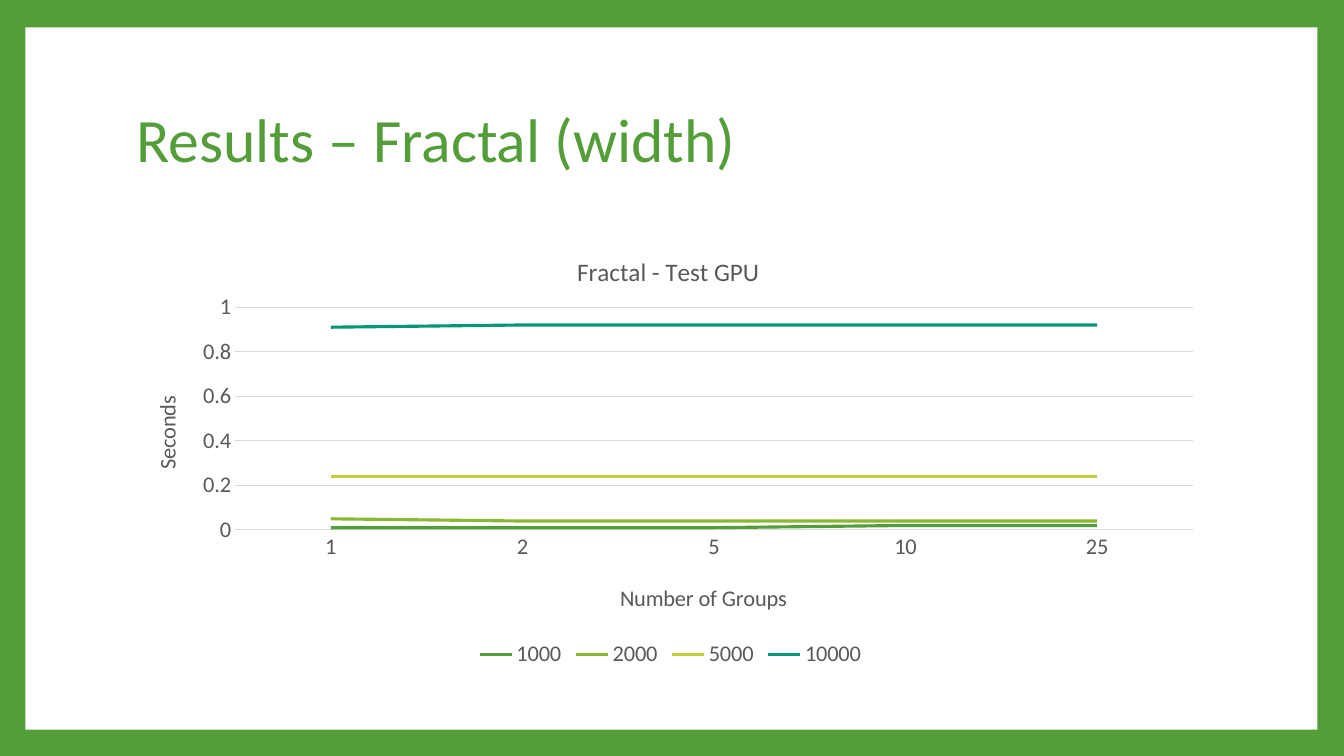
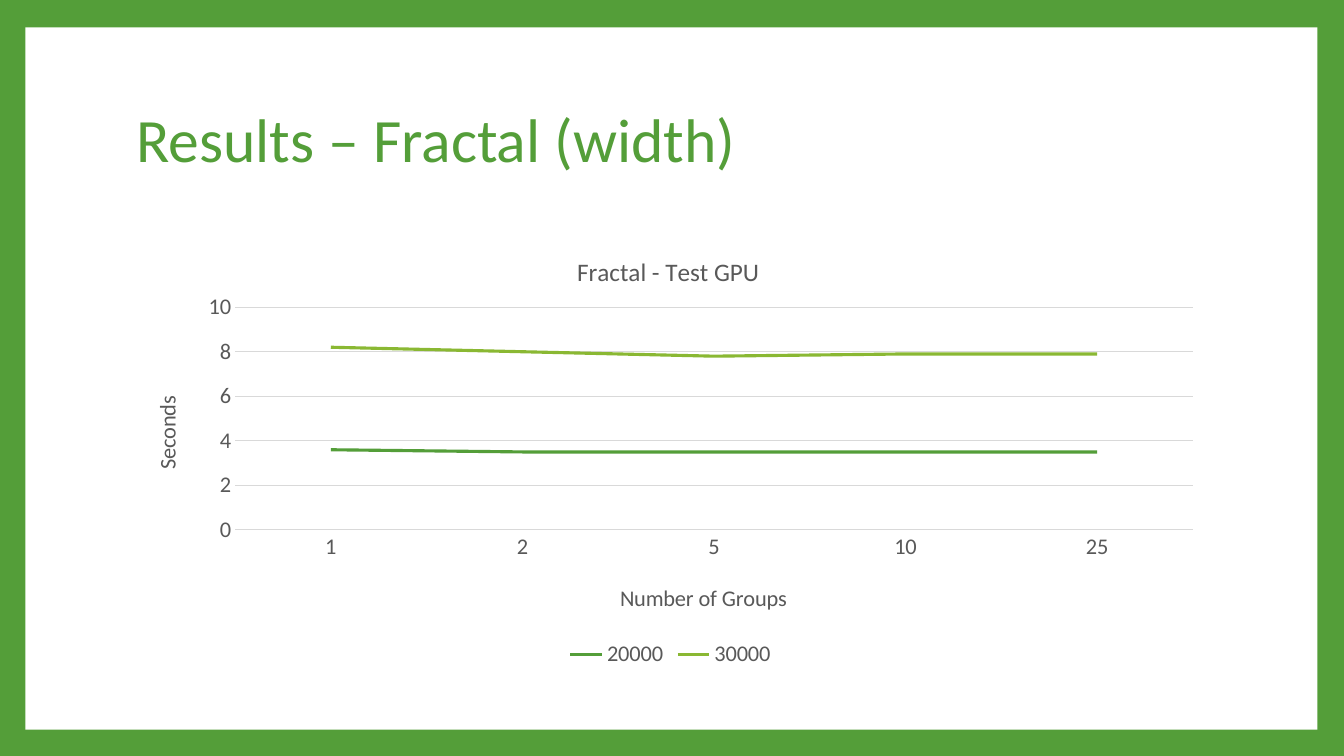
from lxml.etree import SubElement
from pptx import Presentation
from pptx.chart.data import CategoryChartData
from pptx.dml.color import RGBColor
from pptx.enum.chart import XL_CHART_TYPE, XL_LEGEND_POSITION, XL_TICK_MARK
from pptx.enum.shapes import MSO_SHAPE
from pptx.enum.text import MSO_ANCHOR, PP_ALIGN
from pptx.oxml.ns import qn
from pptx.util import Cm, Pt

COLORS = {
    "green": "549E39",
    "leaf": "8AB833",
    "lime": "C0CF3A",
    "teal": "029676",
    "panel": "FFFFFF",
    "text": "595959",
    "grid": "D9D9D9",
}
SERIES_COLORS = ("green", "leaf", "lime", "teal")
FONT = "Calibri"

SLIDE_SIZE = Cm(33.87), Cm(19.05)
PANEL_BOX = Cm(0.64), Cm(0.69), Cm(32.56), Cm(17.7)
TITLE_BOX = Cm(3.18), Cm(1.7), Cm(27.43), Cm(3.76)
CHART_BOX = Cm(3.18), Cm(5.72), Cm(27.43), Cm(11.23)

SLIDE_TITLE = "Results – Fractal (width)"
CHART_TITLE = "Fractal - Test GPU"
GROUPS = ("1", "2", "5", "10", "25")
RESULTS = (
    {
        "step": 0.2, "plot_left": 0.1,
        "times": {
            "1000": (0.01, 0.01, 0.01, 0.02, 0.02),
            "2000": (0.05, 0.04, 0.04, 0.04, 0.04),
            "5000": (0.24, 0.24, 0.24, 0.24, 0.24),
            "10000": (0.91, 0.92, 0.92, 0.92, 0.92),
        },
    },
    {
        "step": 2, "plot_left": 0.1,
        "times": {
            "20000": (3.6, 3.5, 3.5, 3.5, 3.5),
            "30000": (8.2, 8, 7.8, 7.9, 7.9),
        },
    },
)


def rgb(name):
    return RGBColor.from_string(COLORS[name])


def style_font(font, size, color="text"):
    font.name = FONT
    font.size = Pt(size)
    font.bold = False
    font.color.rgb = rgb(color)


def write(frame, text, size, color="text", align=None, spacing=None):
    para = frame.paragraphs[0]
    para.alignment = align
    para.line_spacing = spacing
    span = para.add_run()
    span.text = text
    style_font(span.font, size, color)


def style_line(line, color, width):
    line.color.rgb = rgb(color)
    line.width = Pt(width)


def set_layout(parent, index, inner=False, **fractions):
    """Place a chart part by fractions (x, y, w, h) of the chart box."""
    for old in parent.findall(qn("c:layout")):
        parent.remove(old)
    layout = SubElement(parent, qn("c:layout"))
    parent.insert(index, layout)
    manual = SubElement(layout, qn("c:manualLayout"))
    if inner:
        SubElement(manual, qn("c:layoutTarget"), val="inner")
    for key in ("x", "y"):
        SubElement(manual, qn(f"c:{key}Mode"), val="edge")
    for key, value in fractions.items():
        SubElement(manual, qn(f"c:{key}"), val=f"{value:.2f}")


def add_chart_title(owner, text, size, x, y):
    """Title a chart or an axis."""
    owner.has_title = True
    title = owner.chart_title if hasattr(owner, "chart_title") else owner.axis_title
    write(title.text_frame, text, size)
    set_layout(title.element, 1, x=x, y=y)


def add_title(page):
    title = page.shapes.title
    title.left, title.top, title.width, title.height = TITLE_BOX
    title.text_frame.vertical_anchor = MSO_ANCHOR.MIDDLE
    write(title.text_frame, SLIDE_TITLE, 44, "green", PP_ALIGN.LEFT, 0.9)


def style_axes(chart, step):
    for axis in (chart.category_axis, chart.value_axis):
        axis.major_tick_mark = axis.minor_tick_mark = XL_TICK_MARK.NONE
        style_font(axis.tick_labels.font, 16)
    style_line(chart.category_axis.format.line, "grid", 0.75)
    add_chart_title(chart.category_axis, "Number of Groups", 16, 0.45, 0.79)

    seconds = chart.value_axis
    seconds.minimum_scale, seconds.maximum_scale = 0, 5 * step
    seconds.major_unit = step
    seconds.format.line.fill.background()
    style_line(seconds.major_gridlines.format.line, "grid", 0.75)
    add_chart_title(seconds, "Seconds", 16, 0.02, 0.37)


def add_time_chart(page, box, times, step, plot_left):
    data = CategoryChartData()
    data.categories = GROUPS
    for width, seconds in times.items():
        data.add_series(width, seconds)
    chart = page.shapes.add_chart(XL_CHART_TYPE.LINE, *box, data).chart
    style_font(chart.font, 16)
    add_chart_title(chart, CHART_TITLE, 18, 0.41, 0.05)
    style_axes(chart, step)

    plot = chart.plots[0]
    plot.vary_by_categories = False
    for series, color in zip(plot.series, SERIES_COLORS):
        series.smooth = False
        style_line(series.format.line, color, 2.25)

    chart.has_legend = True
    chart.legend.position = XL_LEGEND_POSITION.BOTTOM
    chart.legend.include_in_layout = False
    style_font(chart.legend.font, 16)
    plot_area = chart.element.find(".//" + qn("c:plotArea"))
    set_layout(plot_area, 0, inner=True,
               x=plot_left, y=0.18, w=0.98 - plot_left, h=0.5)


def add_frame(master, page):
    """Give the master its green border and white panel, drawn by way of page."""
    fill = master.background.fill
    fill.solid()
    fill.fore_color.rgb = rgb("green")
    panel = page.shapes.add_shape(MSO_SHAPE.RECTANGLE, *PANEL_BOX)
    panel.shadow.inherit = False
    panel.fill.solid()
    panel.fill.fore_color.rgb = rgb("panel")
    panel.line.fill.background()
    master.shapes.element.insert(2, panel.element)


def main():
    deck = Presentation()
    deck.slide_width, deck.slide_height = SLIDE_SIZE
    title_only = deck.slide_layouts[5]
    for result in RESULTS:
        page = deck.slides.add_slide(title_only)
        add_title(page)
        add_time_chart(page, CHART_BOX, **result)
    add_frame(deck.slide_master, deck.slides[0])
    deck.save("out.pptx")


if __name__ == "__main__":
    main()
